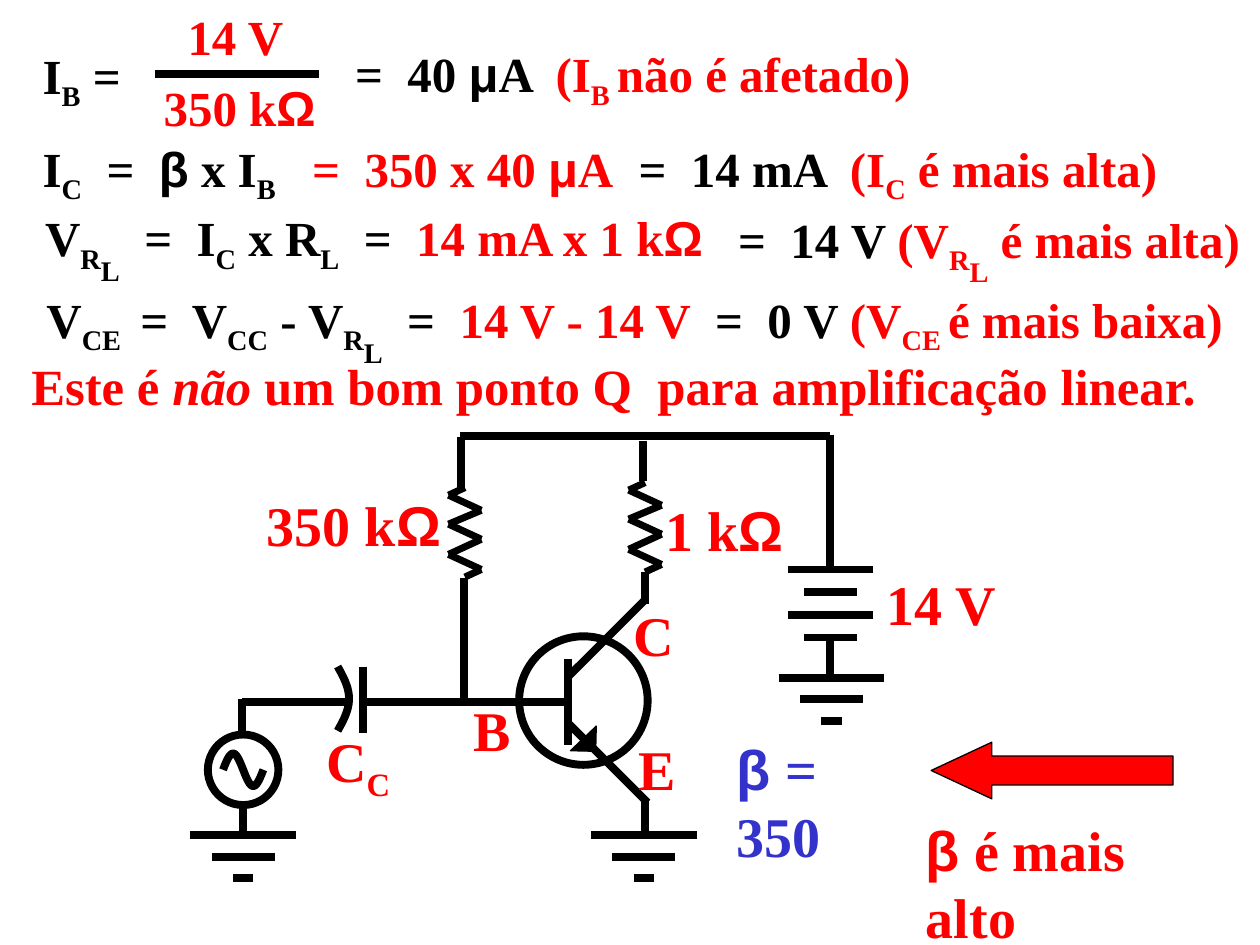
"""Builds the slide on the Q point of a transistor amplifier, with equations and circuit."""
from itertools import groupby, pairwise
from math import pi, sin

from lxml import etree
from pptx import Presentation
from pptx.dml.color import RGBColor
from pptx.enum import shapes, text
from pptx.oxml.ns import qn
from pptx.util import Inches, Pt

COLORS = {"black": "000000", "red": "FF0000", "blue": "3333CC"}
GREEK = "Ωμβ"

# Markup: _ lowers the baseline, ^ resets it, [ ] enclose red, / toggles italic.
EQUATIONS = [
    (0.24, 0.31, 0.84, "I_B^ ="),
    (1.39, 0, 0.97, "[14 V]"),
    (1.2, 0.57, 1.42, "[350 kΩ]"),
    (2.72, 0.3, 4.68, "=  40 μA  [(I_B ^não é afetado)]"),
    (0.24, 1.05, 2.1, "I_C^  =  β x I_B"),
    (2.38, 1.05, 2.6, "[=  350 x 40 μA]"),
    (4.97, 1.05, 4.37, "=  14 mA  [(I_C^ é mais alta)]"),
    (0.26, 1.6, 5.55, "V_R_L^  =  I_C^ x R_L^  =  [14 mA x 1 kΩ]"),
    (5.76, 1.61, 4.25, "=  14 V [(V_R_L^ é mais alta)]"),
    (0.27, 2.25, 9.81,
     "V_CE ^ =  V_CC^ - V_R_L^  =  [14 V - 14 V]  =  0 V [(V_CE ^é mais baixa)]"),
]
CONCLUSION = (0.15, 2.77, 9.57, "Este é /não /um bom ponto Q  para amplificação linear.")
LABELS = [
    (2.02, 3.84, 1.59, "350 kΩ"), (5.18, 3.88, 1.15, "1 kΩ"), (6.94, 4.47, 1.08, "14 V"),
    (2.49, 5.72, 0.74, "C_C"), (3.66, 5.47, 0.5, "B"), (4.93, 4.72, 0.52, "C"),
    (4.97, 5.78, 0.5, "E"),
]
BETA_NOTES = [(5.75, 5.78, 1.55, "β = 350", "blue"), (7.25, 6.42, 2.5, "β é mais alto", "red")]

FRACTION_BAR = (1.23, 0.59, 2.53, 0.59)
TRANSISTOR = [(4.51, 5.23, 4.51, 5.91), (4.51, 5.37, 5.13, 4.75), (4.52, 5.75, 5.14, 6.37)]
WIRES = [
    (3.65, 3.46, 6.59, 3.46), (3.66, 3.47, 3.66, 3.88), (5.1, 3.5, 5.1, 3.82),
    (6.59, 3.45, 6.59, 4.51), (6.59, 5.05, 6.59, 5.39), (3.68, 4.59, 3.68, 5.56),
    (5.12, 4.54, 5.12, 4.79), (5.12, 6.36, 5.12, 6.61), (2.9, 5.57, 4.5, 5.57),
    (1.92, 5.57, 2.75, 5.57), (1.92, 5.55, 1.92, 5.81), (1.93, 6.4, 1.93, 6.66),
]
CAPACITOR_PLATE = (2.88, 5.29, 2.88, 5.82)
RESISTORS = [(3.69, 3.87), (5.12, 3.83)]
ZIGZAG = [(0, 0), (-0.13, 0.06), (0.13, 0.18), (-0.13, 0.29), (0.13, 0.41),
          (-0.13, 0.53), (0.13, 0.65), (0, 0.71)]
GROUNDS = [(1.93, 6.63), (5.11, 6.63), (6.6, 5.38)]
GROUND_HALVES = (0.42, 0.25, 0.08)
BATTERY = (6.59, 4.52)
BATTERY_HALVES = (0.34, 0.21, 0.34, 0.21)
CIRCLES = [(4.12, 5.05, 1.02), (1.65, 5.83, 0.56)]
STEPS = 24

deck = Presentation()
deck.slide_width, deck.slide_height = Inches(10), Inches(7.5)
canvas = deck.slides.add_slide(deck.slide_layouts[6]).shapes


def rgb(name):
    return RGBColor.from_string(COLORS[name])


def parse(markup, color):
    level, italic, tint = 0, False, color
    for mark in markup:
        if mark == "_":
            level -= 25
        elif mark == "^":
            level = 0
        elif mark == "/":
            italic = not italic
        elif mark in "[]":
            tint = "red" if mark == "[" else color
            level = 0
        else:
            yield mark, (level, italic, tint, mark in GREEK)


def write(left, top, width, markup, size, color, wrap=False):
    box = canvas.add_textbox(Inches(left), Inches(top), Inches(width), Inches(size * 0.018))
    frame = box.text_frame
    frame.word_wrap = wrap
    frame.auto_size = text.MSO_AUTO_SIZE.SHAPE_TO_FIT_TEXT
    for style, marks in groupby(parse(markup, color), key=lambda pair: pair[1]):
        level, italic, tint, greek = style
        run = frame.paragraphs[0].add_run()
        run.text = "".join(mark for mark, _ in marks)
        font = run.font
        font.size, font.bold, font.italic = Pt(size), True, italic
        font.name = "Arial" if greek else "Times New Roman"
        font.color.rgb = rgb(tint)
        if level:
            run._r.get_or_add_rPr().set("baseline", str(level * 1000))


def stroke(x1, y1, x2, y2, weight=4.5):
    wire = canvas.add_connector(shapes.MSO_CONNECTOR.STRAIGHT, *map(Inches, (x1, y1, x2, y2)))
    wire.line.color.rgb = rgb("black")
    wire.line.width = Pt(weight)
    etree.SubElement(wire._element.spPr, qn("a:effectLst"))


def paint(outline, fill=None, weight=4.5):
    outline.shadow.inherit = False
    if fill:
        outline.fill.solid()
        outline.fill.fore_color.rgb = rgb(fill)
    else:
        outline.fill.background()
    outline.line.color.rgb = rgb("black")
    outline.line.width = Pt(weight)


def preset(kind, *place, **look):
    outline = canvas.add_shape(kind, *map(Inches, place))
    paint(outline, **look)
    return outline


def curve(point):
    points = [tuple(map(Inches, point(step / STEPS))) for step in range(STEPS + 1)]
    builder = canvas.build_freeform(*points[0])
    builder.add_line_segments(points[1:], close=False)
    paint(builder.convert_to_shape())


def bars(center, top, halves, pitch):
    for row, half in enumerate(halves):
        y = top + row * pitch
        stroke(center - half, y, center + half, y)


for left, top, side in CIRCLES:
    preset(shapes.MSO_SHAPE.OVAL, left, top, side, side)
for ends in [FRACTION_BAR, CAPACITOR_PLATE, *TRANSISTOR, *WIRES]:
    stroke(*ends)
emitter_tip = preset(shapes.MSO_SHAPE.RIGHT_TRIANGLE, 4.53, 5.76, 0.2, 0.2,
                     fill="black", weight=0.75)
emitter_tip.rotation = 271.3
for x, y in RESISTORS:
    for (dx1, dy1), (dx2, dy2) in pairwise(ZIGZAG):
        stroke(x + dx1, y + dy1, x + dx2, y + dy2, 4)
for x, y in GROUNDS:
    bars(x, y, GROUND_HALVES, 0.17)
bars(*BATTERY, BATTERY_HALVES, 0.18)
curve(lambda t: (2.68 + 0.09 * sin(pi * t), 5.29 + 0.51 * t))
curve(lambda t: (1.77 + 0.32 * t, 6.11 - 0.13 * sin(2 * pi * t)))

for equation in EQUATIONS:
    write(*equation, 28, "black")
write(*CONCLUSION, 29, "red")
for label in LABELS:
    write(*label, 32, "red")
for *note, color in BETA_NOTES:
    write(*note, 32, color, wrap=True)
beta_arrow = preset(shapes.MSO_SHAPE.LEFT_ARROW, 7.39, 5.89, 1.92, 0.45,
                    fill="red", weight=0.75)
beta_arrow.adjustments[0], beta_arrow.adjustments[1] = 0.51, 1.07

deck.save("out.pptx")
